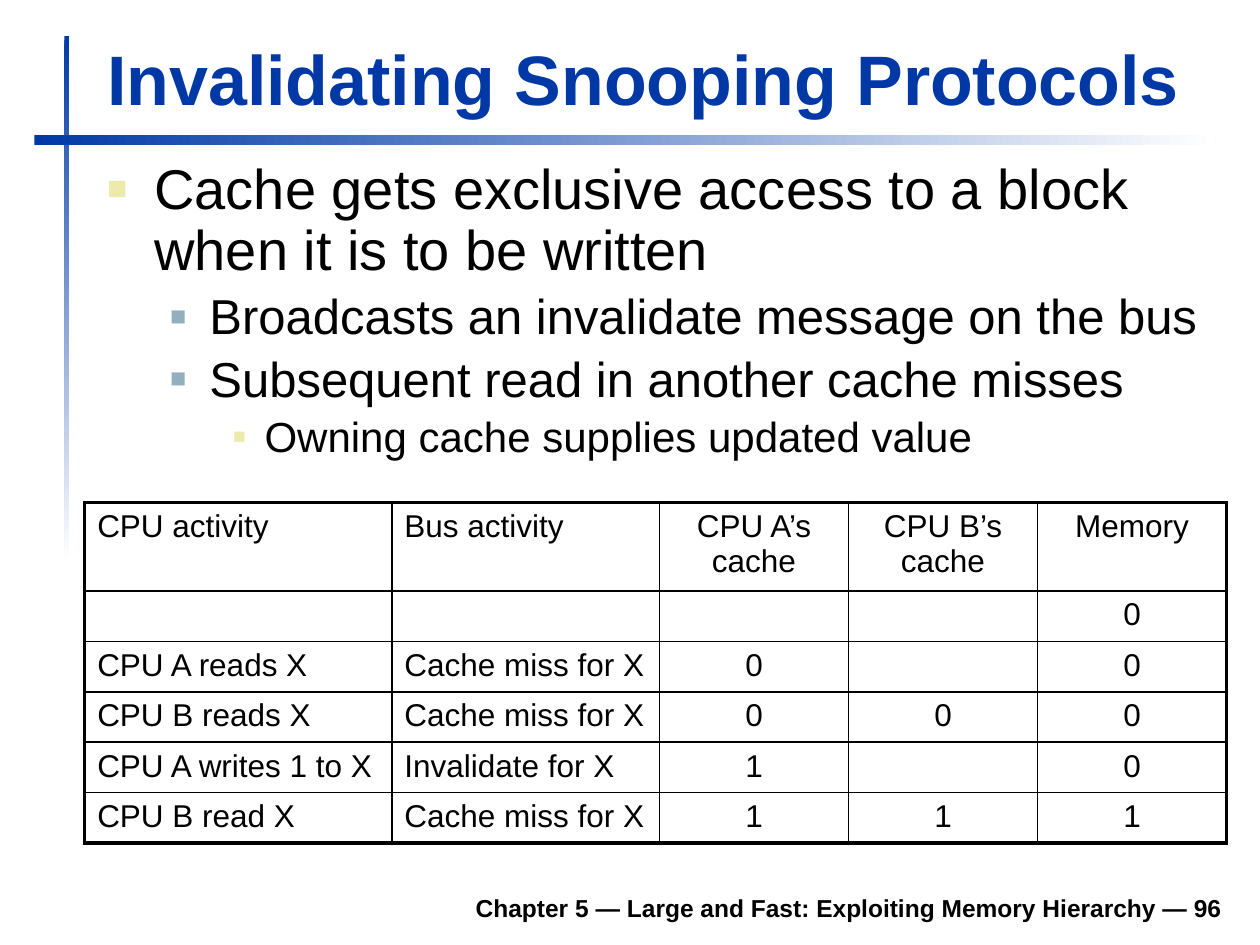
import pptx
import pptx.util
import pptx.dml.color
import pptx.enum.shapes
import pptx.enum.text
import pptx.oxml.ns
from lxml import etree

Pt = pptx.util.Pt
RGBColor = pptx.dml.color.RGBColor
PP_ALIGN = pptx.enum.text.PP_ALIGN
MSO_ANCHOR = pptx.enum.text.MSO_ANCHOR
MSO_AUTO_SIZE = pptx.enum.text.MSO_AUTO_SIZE
qn = pptx.oxml.ns.qn

BLUE = RGBColor(0x00, 0x39, 0xA6)
WHITE = RGBColor(0xFF, 0xFF, 0xFF)
BLACK = RGBColor(0x00, 0x00, 0x00)
CREAM = RGBColor(0xEC, 0xEA, 0xAC)
STEEL = RGBColor(0x91, 0xAF, 0xBF)
FONT = "Arial"

# Content
TITLE = "Invalidating Snooping Protocols"
FOOTER = "Chapter 5 — Large and Fast: Exploiting Memory Hierarchy — 96"
BULLETS = [  # level, text
    (0, "Cache gets exclusive access to a block when it is to be written"),
    (1, "Broadcasts an invalidate message on the bus"),
    (1, "Subsequent read in another cache misses"),
    (2, "Owning cache supplies updated value"),
]
LEVELS = [  # text size, left margin, hanging indent, bullet colour, bullet percent
    (32, 27, 27, CREAM, 60),
    (28, 58.5, 22.5, STEEL, 55),
    (24, 90, 18, CREAM, 50),
]
TABLE_ROWS = [
    ("CPU activity", "Bus activity", "CPU A’s cache", "CPU B’s cache", "Memory"),
    ("", "", "", "", "0"),
    ("CPU A reads X", "Cache miss for X", "0", "", "0"),
    ("CPU B reads X", "Cache miss for X", "0", "0", "0"),
    ("CPU A writes 1 to X", "Invalidate for X", "1", "", "0"),
    ("CPU B read X", "Cache miss for X", "1", "1", "1"),
]
COLUMN_WIDTHS = [175.5, 153, 108, 108, 108]
ROW_HEIGHTS = [50.4] + [28.8] * 5
GRADIENT_BARS = [  # left, top, width, height, angle
    (36.8, 20.4, 2.8, 300, 270),
    (19.7, 77, 675, 5.8, 0),
]


def place(shape, left, top, width, height):
    shape.left, shape.top = Pt(left), Pt(top)
    shape.width, shape.height = Pt(width), Pt(height)


def set_font(paragraph, size, color=BLACK, bold=False):
    font = paragraph.font
    font.name, font.size, font.bold = FONT, Pt(size), bold
    font.color.rgb = color


def set_bullet(paragraph, margin, hanging, color, percent):
    properties = paragraph._p.get_or_add_pPr()
    properties.set("marL", str(Pt(margin)))
    properties.set("indent", str(-Pt(hanging)))
    bullet_color = etree.SubElement(properties, qn("a:buClr"))
    etree.SubElement(bullet_color, qn("a:srgbClr"), val=str(color))
    etree.SubElement(properties, qn("a:buSzPct"), val=str(percent * 1000))
    etree.SubElement(properties, qn("a:buFont"), typeface=FONT)
    etree.SubElement(properties, qn("a:buChar"), char="■")


def set_borders(cell, outer_sides):
    properties = cell._tc.get_or_add_tcPr()
    for side in "LRTB":
        width = 2.25 if side in outer_sides else 1
        line = etree.SubElement(properties, qn("a:ln" + side), w=str(Pt(width)))
        fill = etree.SubElement(line, qn("a:solidFill"))
        etree.SubElement(fill, qn("a:srgbClr"), val=str(BLACK))


presentation = pptx.Presentation()
presentation.slide_width, presentation.slide_height = Pt(720), Pt(540)
slide = presentation.slides.add_slide(presentation.slide_layouts[1])

# Gradient bars
for left, top, width, height, angle in GRADIENT_BARS:
    bar = slide.shapes.add_shape(pptx.enum.shapes.MSO_SHAPE.RECTANGLE,
                                 Pt(left), Pt(top), Pt(width), Pt(height))
    bar.shadow.inherit = False
    bar.line.fill.background()
    bar.fill.gradient()
    bar.fill.gradient_angle = angle
    for stop, color in zip(bar.fill.gradient_stops, (BLUE, WHITE)):
        stop.color.rgb = color

# Footer
footer = slide.shapes.add_textbox(Pt(133.2), Pt(502.6), Pt(572.4), Pt(28))
footer.text_frame.word_wrap = True
footer.text_frame.vertical_anchor = MSO_ANCHOR.BOTTOM
paragraph = footer.text_frame.paragraphs[0]
paragraph.text = FOOTER
paragraph.alignment = PP_ALIGN.RIGHT
set_font(paragraph, 14, bold=True)

# Title
title = slide.shapes.title
place(title, 54, 16.6, 650, 55.4)
title.text_frame.text = TITLE
title.text_frame.vertical_anchor = MSO_ANCHOR.BOTTOM
title.text_frame.auto_size = MSO_AUTO_SIZE.SHAPE_TO_FIT_TEXT
title.text_frame.paragraphs[0].alignment = PP_ALIGN.LEFT
set_font(title.text_frame.paragraphs[0], 40, BLUE, bold=True)

# Bulleted list
body = slide.placeholders[1]
place(body, 54, 88.6, 651.6, 187.2)
body.text_frame.auto_size = MSO_AUTO_SIZE.NONE
body.text_frame.text = "\n".join(text for level, text in BULLETS)
for paragraph, (level, text) in zip(body.text_frame.paragraphs, BULLETS):
    size, margin, hanging, color, percent = LEVELS[level]
    paragraph.level = level
    paragraph.line_spacing = 0.9
    paragraph.space_before = Pt(size * 0.2)
    set_bullet(paragraph, margin, hanging, color, percent)
    set_font(paragraph, size)

# Cache state table
table = slide.shapes.add_table(
    len(TABLE_ROWS), len(COLUMN_WIDTHS), Pt(48.4), Pt(287.2),
    Pt(sum(COLUMN_WIDTHS)), Pt(sum(ROW_HEIGHTS))).table
table.first_row = table.horz_banding = False
for column, width in zip(table.columns, COLUMN_WIDTHS):
    column.width = Pt(width)
for row, height in zip(table.rows, ROW_HEIGHTS):
    row.height = Pt(height)
last_row, last_column = len(TABLE_ROWS) - 1, len(COLUMN_WIDTHS) - 1
for row_index, texts in enumerate(TABLE_ROWS):
    for column_index, text in enumerate(texts):
        cell = table.cell(row_index, column_index)
        outer_sides = (("T" if row_index == 0 else "")
                       + ("B" if row_index == last_row else "")
                       + ("L" if column_index == 0 else "")
                       + ("R" if column_index == last_column else ""))
        set_borders(cell, outer_sides)
        cell.fill.background()
        paragraph = cell.text_frame.paragraphs[0]
        paragraph.text = text
        paragraph.alignment = PP_ALIGN.LEFT if column_index < 2 else PP_ALIGN.CENTER
        set_font(paragraph, 18)

presentation.save("out.pptx")
